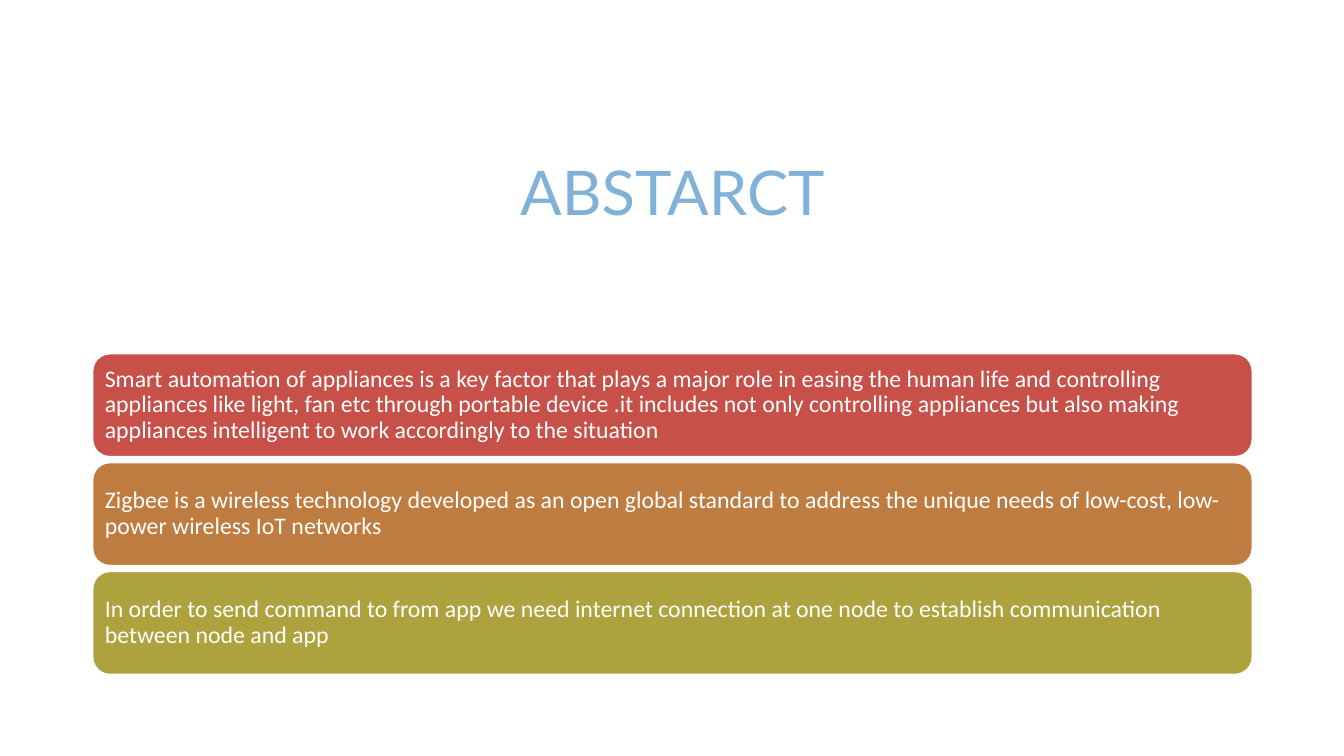
import dataclasses

import pptx
import pptx.dml.color
import pptx.enum.shapes
import pptx.enum.text
import pptx.util

Inches = pptx.util.Inches
LEFT, WIDTH = 0.92, 11.5
FIRST_TOP, BAR_HEIGHT, BAR_PITCH = 3.51, 1.02, 1.08


@dataclasses.dataclass(frozen=True)
class Bar:
    """One statement and the fill of its rounded bar."""
    text: str
    fill: str


BARS = [
    Bar("Smart automation of appliances is a key factor that plays a major role in "
        "easing the human life and controlling appliances like light, fan etc through "
        "portable device .it includes not only controlling appliances but also making "
        "appliances intelligent to work accordingly to the situation", "C75149"),
    Bar("Zigbee is a wireless technology developed as an open global standard to "
        "address the unique needs of low-cost, low-power wireless IoT networks", "BF7C40"),
    Bar("In order to send command to from app we need internet connection at one node "
        "to establish communication between node and app", "AEA23F"),
]


def color(value: str) -> pptx.dml.color.RGBColor:
    """Turn a hex string into a colour."""
    return pptx.dml.color.RGBColor.from_string(value)


def write_text(shape, text: str, font: str, size: float, text_color: str,
               alignment: pptx.enum.text.PP_ALIGN) -> None:
    """Put one vertically centred, wrapped paragraph into a shape."""
    frame = shape.text_frame
    frame.word_wrap = True
    frame.vertical_anchor = pptx.enum.text.MSO_ANCHOR.MIDDLE
    paragraph = frame.paragraphs[0]
    paragraph.text = text
    paragraph.alignment = alignment
    paragraph.line_spacing = 0.9
    paragraph.font.name = font
    paragraph.font.size = pptx.util.Pt(size)
    paragraph.font.color.rgb = color(text_color)


def add_title(slide, text: str) -> None:
    """Add the centred slide title."""
    title = slide.shapes.add_textbox(
        Inches(LEFT), Inches(0.67), Inches(WIDTH), Inches(2.54))
    write_text(title, text, "Lato", 44, "80B1D8", pptx.enum.text.PP_ALIGN.CENTER)


def add_bar(slide, bar: Bar, top: float) -> None:
    """Add a rounded bar holding its statement."""
    shape = slide.shapes.add_shape(
        pptx.enum.shapes.MSO_SHAPE.ROUNDED_RECTANGLE,
        Inches(LEFT), Inches(top), Inches(WIDTH), Inches(BAR_HEIGHT))
    shape.shadow.inherit = False
    shape.fill.solid()
    shape.fill.fore_color.rgb = color(bar.fill)
    shape.line.color.rgb = color("FFFFFF")
    shape.line.width = pptx.util.Pt(1)
    frame = shape.text_frame
    # The rounded corners already inset the text by about 0.05 inch.
    frame.margin_left = frame.margin_right = Inches(0.07)
    frame.margin_top = frame.margin_bottom = Inches(0.07)
    write_text(shape, bar.text, "Calibri", 17, "FFFFFF", pptx.enum.text.PP_ALIGN.LEFT)


def main() -> None:
    """Build and save the slide."""
    presentation = pptx.Presentation()
    presentation.slide_width = Inches(13.33)
    presentation.slide_height = Inches(7.5)
    slide = presentation.slides.add_slide(presentation.slide_layouts[6])
    add_title(slide, "ABSTARCT")
    for index, bar in enumerate(BARS):
        add_bar(slide, bar, FIRST_TOP + index * BAR_PITCH)
    presentation.save("out.pptx")


main()
